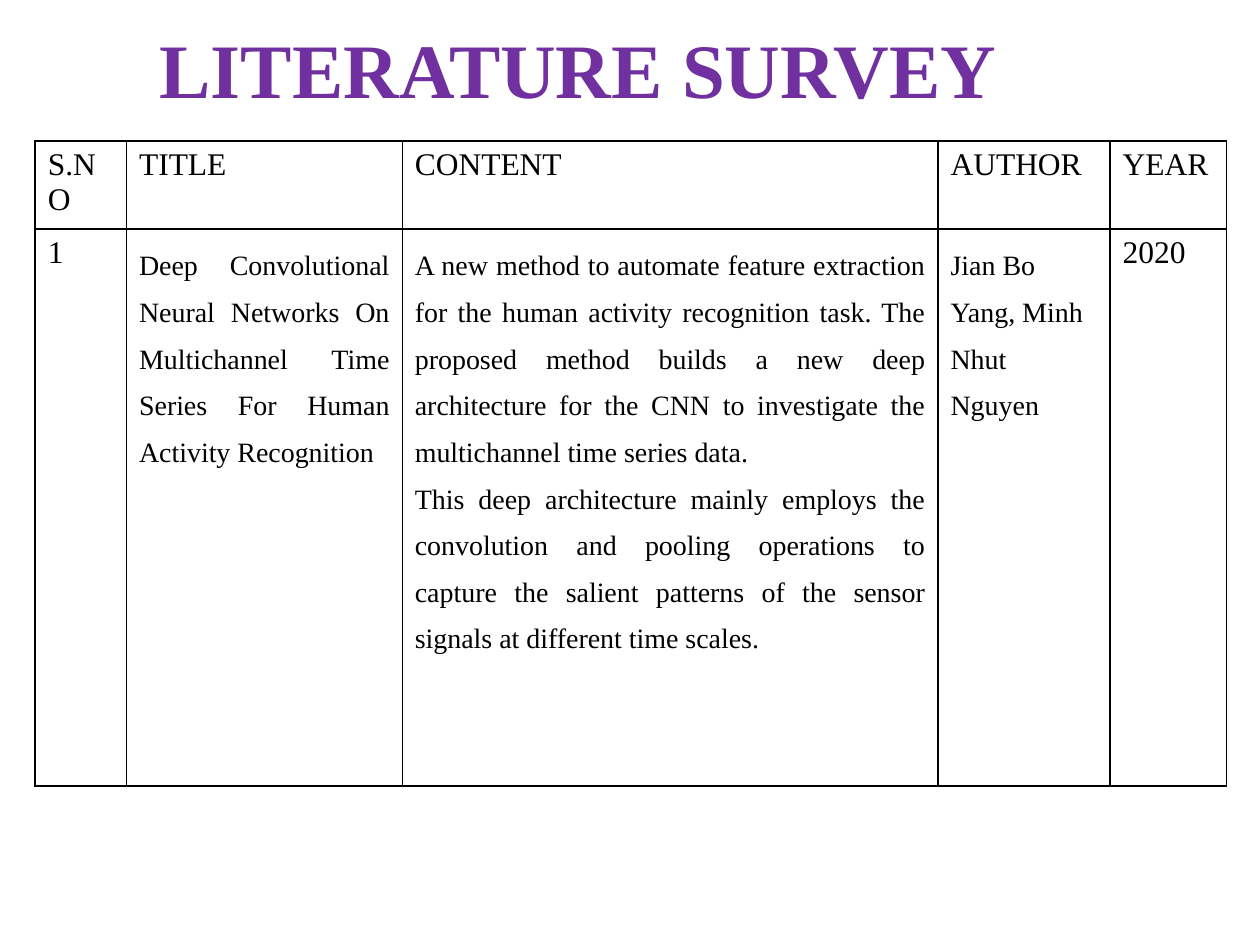
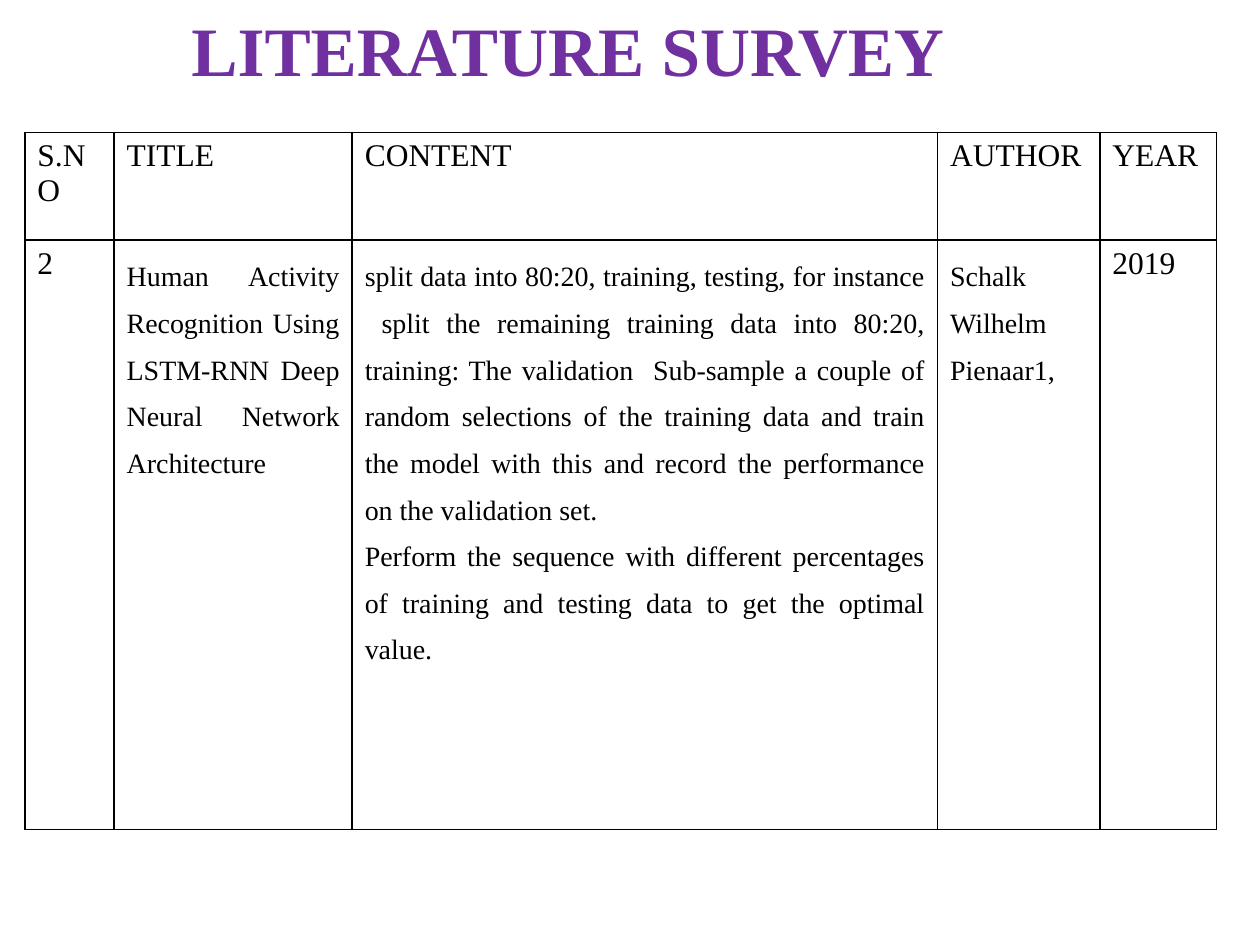
from lxml import etree
from pptx import Presentation
from pptx.dml.color import RGBColor
from pptx.enum.text import MSO_ANCHOR, PP_ALIGN
from pptx.oxml.ns import qn
from pptx.util import Cm, Pt

LEFT, MID, JUST = PP_ALIGN.LEFT, PP_ALIGN.CENTER, PP_ALIGN.JUSTIFY
TOP = MSO_ANCHOR.TOP

INK = {"title": "7030A0", "text": "000000", "line": "000000"}
FACE = "Times New Roman"
HEADS = ["S.NO", "TITLE", "CONTENT", "AUTHOR", "YEAR"]

# Paragraph formats
LABEL = {"alignment": LEFT}
PROSE = {"alignment": JUST, "line_spacing": 1.5}
NAMES = {"alignment": LEFT, "line_spacing": 1.5}
TITLE = {"alignment": MID, "line_spacing": 0.9}

PAGES = [
    {
        "title": {"left": 0.71, "top": 0.53, "size": 44},
        "table": {"left": 0.71, "top": 2.84},
        "cols": [1.84, 5.56, 10.8, 3.47, 2.35],
        "rows": [1.67, 11.23],
        "entry": [
            ["1"],
            ["Deep Convolutional Neural Networks On Multichannel Time "
             "Series For Human Activity Recognition"],
            ["A new method to automate feature extraction for the human "
             "activity recognition task. The proposed method builds a new "
             "deep architecture for the CNN to investigate the multichannel "
             "time series data.",
             "This deep architecture mainly employs the convolution and "
             "pooling operations to capture the salient patterns of the "
             "sensor signals at different time scales."],
            ["Jian Bo Yang, Minh Nhut Nguyen"],
            ["2020"],
        ],
    },
    {
        "title": {"left": 0.5, "top": 0.22, "size": 39.6},
        "table": {"left": 0.5, "top": 2.67},
        "cols": [1.8, 4.8, 11.8, 3.27, 2.35],
        "rows": [2.17, 11.88],
        "entry": [
            ["2"],
            ["Human Activity Recognition Using LSTM-RNN Deep Neural "
             "Network Architecture"],
            ["split data into 80:20, training, testing, for instance  split "
             "the remaining training data into 80:20, training: The "
             "validation  Sub-sample a couple of random selections of the "
             "training data and train the model with this and record the "
             "performance on the validation set.",
             "Perform the sequence with different percentages of training "
             "and testing data to get the optimal value."],
            ["Schalk Wilhelm Pienaar1,"],
            ["2019"],
        ],
    },
]


def assign(item, values):
    for key, value in values.items():
        setattr(item, key, value)


def write(frame, lines, size, form, ink="text", bold=False):
    """Fill a text frame, one paragraph for each line."""
    for i, line in enumerate(lines):
        para = frame.paragraphs[0] if i == 0 else frame.add_paragraph()
        assign(para, form)
        run = para.add_run()
        run.text = line
        assign(run.font, {"name": FACE, "size": Pt(size), "bold": bold})
        run.font.color.rgb = RGBColor.from_string(INK[ink])


def border(cell):
    """Draw a thin line on all four sides of a cell."""
    props = cell._tc.get_or_add_tcPr()
    for side in ("lnL", "lnR", "lnT", "lnB"):
        line = etree.SubElement(props, qn("a:" + side), w=str(Pt(1)))
        fill = etree.SubElement(line, qn("a:solidFill"))
        etree.SubElement(fill, qn("a:srgbClr"), val=INK["line"])


def add_title(slide, left, top, size):
    box = slide.shapes.add_textbox(Cm(left), Cm(top), Cm(21.9), Cm(1.8))
    assign(box.text_frame, {"word_wrap": True, "vertical_anchor": TOP})
    write(box.text_frame, ["LITERATURE SURVEY"], size, TITLE, "title", True)


def add_grid(slide, left, top, cols, rows, entry):
    frame = slide.shapes.add_table(len(rows), len(cols), Cm(left), Cm(top),
                                   Cm(sum(cols)), Cm(sum(rows)))
    table = frame.table
    assign(table, {"first_row": False, "horz_banding": False})
    for col, width in zip(table.columns, cols):
        col.width = Cm(width)
    for row, height in zip(table.rows, rows):
        row.height = Cm(height)
    for cell in table.iter_cells():
        border(cell)
        cell.fill.background()

    # Heading row, then the surveyed paper
    forms = [LABEL, PROSE, PROSE, NAMES, LABEL]
    for i, (head, lines, form) in enumerate(zip(HEADS, entry, forms)):
        write(table.cell(0, i).text_frame, [head], 18, LABEL)
        size = 18 if form is LABEL else 16
        write(table.cell(1, i).text_frame, lines, size, form)


def main():
    deck = Presentation()
    assign(deck, {"slide_width": Cm(25.4), "slide_height": Cm(19.05)})
    for page in PAGES:
        slide = deck.slides.add_slide(deck.slide_layouts[6])
        add_title(slide, **page["title"])
        add_grid(slide, **page["table"], cols=page["cols"],
                 rows=page["rows"], entry=page["entry"])
    deck.save("out.pptx")


if __name__ == "__main__":
    main()
